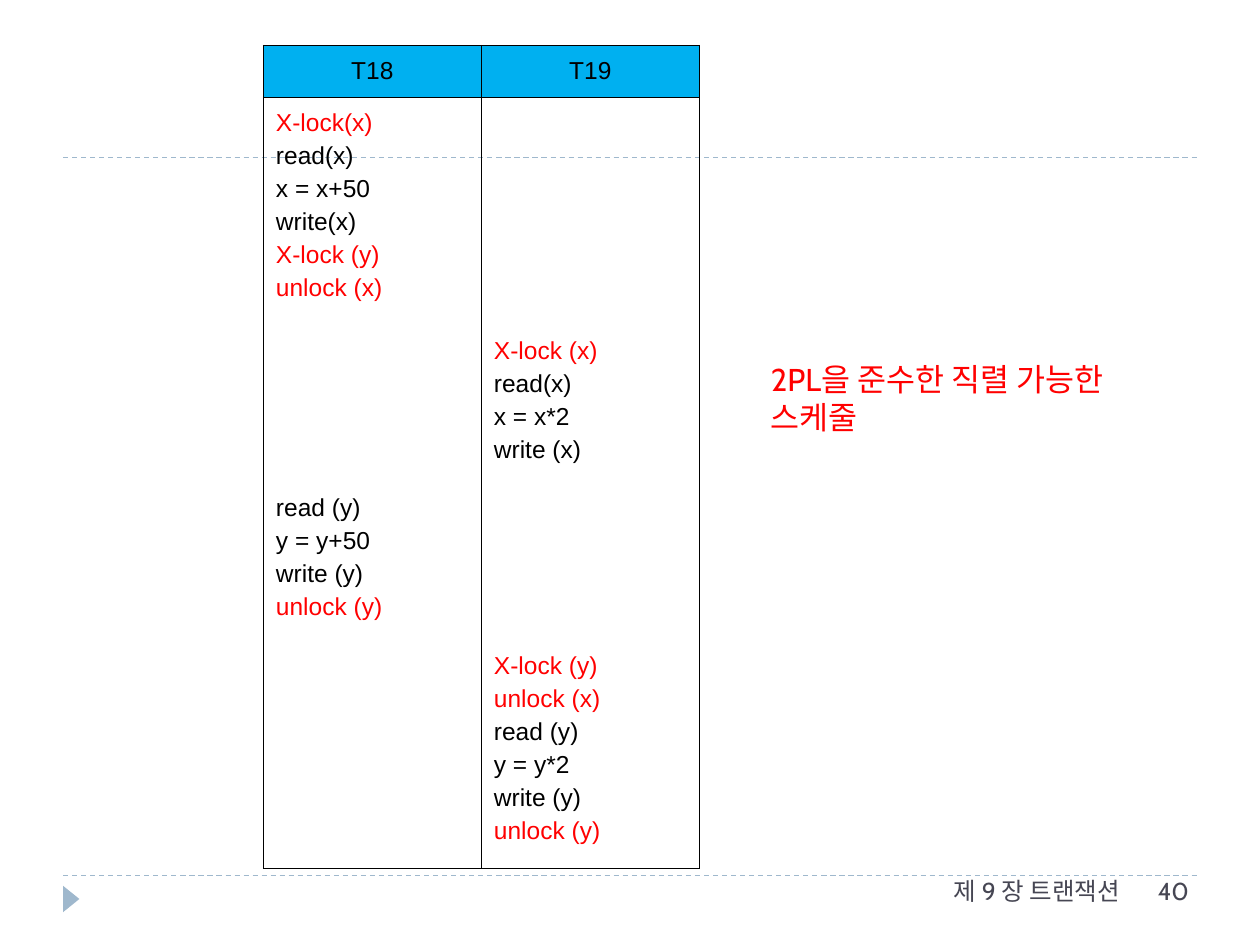
from lxml import etree
from pptx import Presentation, util as u
from pptx.dml.color import RGBColor
from pptx.enum import dml, shapes, text
from pptx.oxml.ns import qn

BLACK = RGBColor(0x00, 0x00, 0x00)
RED = RGBColor(0xFF, 0x00, 0x00)
HEADER_BLUE = RGBColor(0x00, 0xB0, 0xF0)
THEME_BLUE = RGBColor(0x9F, 0xB8, 0xCD)
FOOTER_GREY = RGBColor(0x46, 0x46, 0x53)

TRANSACTIONS = ("T18", "T19")
# Each step: the column of the acting transaction, its row height, its operations
STEPS = (
    (0, 1.81, ("X-lock(x)", "read(x)", "x = x+50", "write(x)", "X-lock (y)", "unlock (x)")),
    (1, 1.25, ("X-lock (x)", "read(x)", "x = x*2", "write (x)")),
    (0, 1.25, ("read (y)", "y = y+50", "write (y)", "unlock (y)")),
    (1, 1.81, ("X-lock (y)", "unlock (x)", "read (y)", "y = y*2", "write (y)", "unlock (y)")),
)
HEADER_HEIGHT = 0.41


def inches(*lengths):
    return [u.Inches(length) for length in lengths]


def format_runs(paragraph, font_name, size, color):
    for run in paragraph.runs:
        run.font.name = font_name
        run.font.size = u.Pt(size)
        run.font.color.rgb = color
        # East Asian letters take the same font
        etree.SubElement(run.font._element, qn("a:ea"), typeface=font_name)


def add_label(slide, box, words, size, color, align=text.PP_ALIGN.LEFT, wrap=True):
    frame = slide.shapes.add_textbox(*inches(*box)).text_frame
    frame.word_wrap = wrap
    frame.text = words
    for paragraph in frame.paragraphs:
        paragraph.alignment = align
        format_runs(paragraph, "Cabin", size, color)
    return frame


def add_decoration(slide, box):
    """Dashed rules at the top and bottom of the box, with a marker below."""
    left, top, width, height = box
    for y in (top + height, top):
        rule = slide.shapes.add_connector(
            shapes.MSO_CONNECTOR.STRAIGHT, *inches(left, y, left + width, y))
        rule.line.color.rgb = THEME_BLUE
        rule.line.width = u.Pt(0.75)
        rule.line.dash_style = dml.MSO_LINE.DASH
        etree.SubElement(rule._element.spPr, qn("a:effectLst"))

    marker = slide.shapes.add_shape(
        shapes.MSO_SHAPE.ISOSCELES_TRIANGLE,
        *inches(left - 0.04, top + height + 0.12, 0.21, 0.13))
    marker.rotation = 90
    marker.shadow.inherit = False
    marker.fill.solid()
    marker.fill.fore_color.rgb = THEME_BLUE
    marker.line.fill.background()


def set_borders(cell, visible):
    """Draw the named sides in black and clear the others."""
    properties = cell._tc.get_or_add_tcPr()
    for side in "LRTB":
        line = etree.SubElement(properties, qn(f"a:ln{side}"), w=str(u.Pt(0.56)))
        if side in visible:
            fill = etree.SubElement(line, qn("a:solidFill"))
            etree.SubElement(fill, qn("a:srgbClr"), val=str(BLACK))
        else:
            etree.SubElement(line, qn("a:noFill"))


def fill_cell(cell, lines, align):
    cell.text_frame.text = "\n".join(lines)
    for paragraph in cell.text_frame.paragraphs:
        paragraph.alignment = align
        paragraph.line_spacing = 1.2
        # Lock and unlock operations stand out in red
        format_runs(paragraph, "Arial", 14, RED if "lock" in paragraph.text else BLACK)


def add_schedule(slide, box):
    """Table with one column a transaction and one row a step."""
    schedule = slide.shapes.add_table(
        len(STEPS) + 1, len(TRANSACTIONS), *inches(*box)).table
    schedule.first_row = schedule.horz_banding = False
    for column in schedule.columns:
        column.width = u.Inches(box[2] / len(TRANSACTIONS))

    # Header
    schedule.rows[0].height = u.Inches(HEADER_HEIGHT)
    for column, name in enumerate(TRANSACTIONS):
        header = schedule.cell(0, column)
        fill_cell(header, [name], text.PP_ALIGN.CENTER)
        set_borders(header, "LRTB")
        header.fill.solid()
        header.fill.fore_color.rgb = HEADER_BLUE

    # Steps
    for row, (actor, height, operations) in enumerate(STEPS, start=1):
        schedule.rows[row].height = u.Inches(height)
        fill_cell(schedule.cell(row, actor), operations, text.PP_ALIGN.JUSTIFY)
        sides = "LR" + "T" * (row == 1) + "B" * (row == len(STEPS))
        for column in range(len(TRANSACTIONS)):
            set_borders(schedule.cell(row, column), sides)
            schedule.cell(row, column).fill.background()


def add_remark(slide, box):
    frame = add_label(slide, box, "2PL을 준수한 직렬 가능한\n스케줄", 18, RED, wrap=False)
    frame.auto_size = text.MSO_AUTO_SIZE.SHAPE_TO_FIT_TEXT


def add_footer(slide, box):
    """Chapter name on the left of the box, page number on the right."""
    left, top, width, height = box
    add_label(slide, (left, top, 3.8, height), "제 9 장 트랜잭션", 14, FOOTER_GREY,
              text.PP_ALIGN.RIGHT)
    add_label(slide, (left + width - 0.71, top, 0.71, height), "40", 14, FOOTER_GREY)


def main():
    deck = Presentation()
    deck.slide_width, deck.slide_height = inches(10, 7.5)
    slide = deck.slides.add_slide(deck.slide_layouts[6])
    add_decoration(slide, (0.5, 1.25, 9, 5.7))
    add_schedule(slide, (2.09, 0.36, 3.46, 6.54))
    add_remark(slide, (6.02, 2.81, 3.06, 0.71))
    add_footer(slide, (5.19, 6.9, 4.61, 0.4))
    deck.save("out.pptx")


if __name__ == "__main__":
    main()
